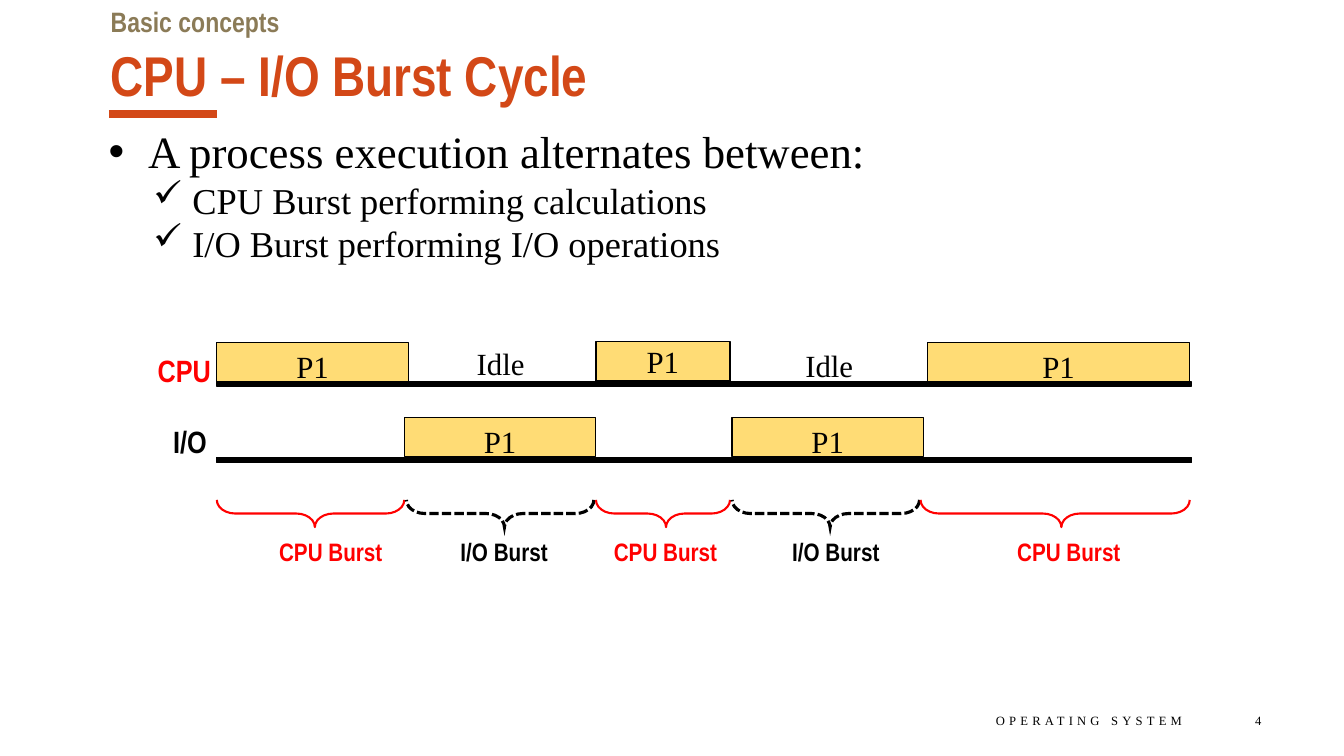
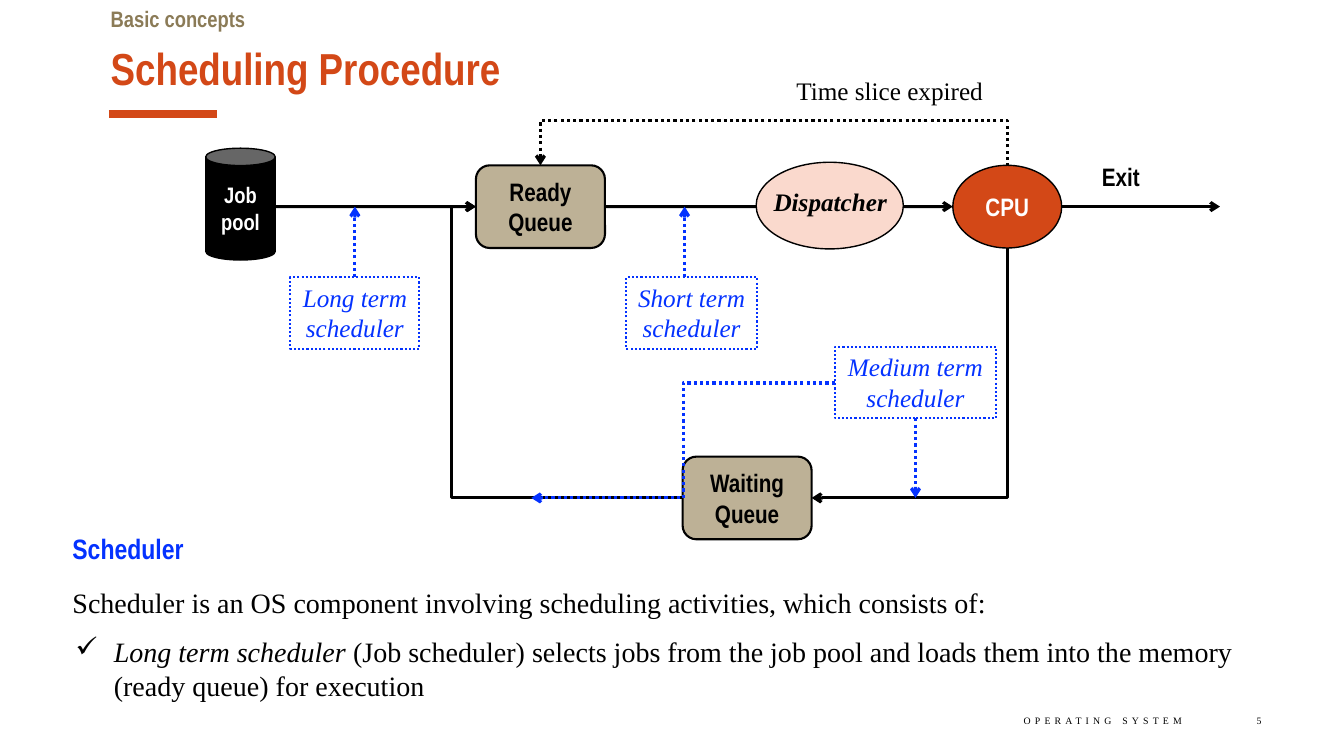
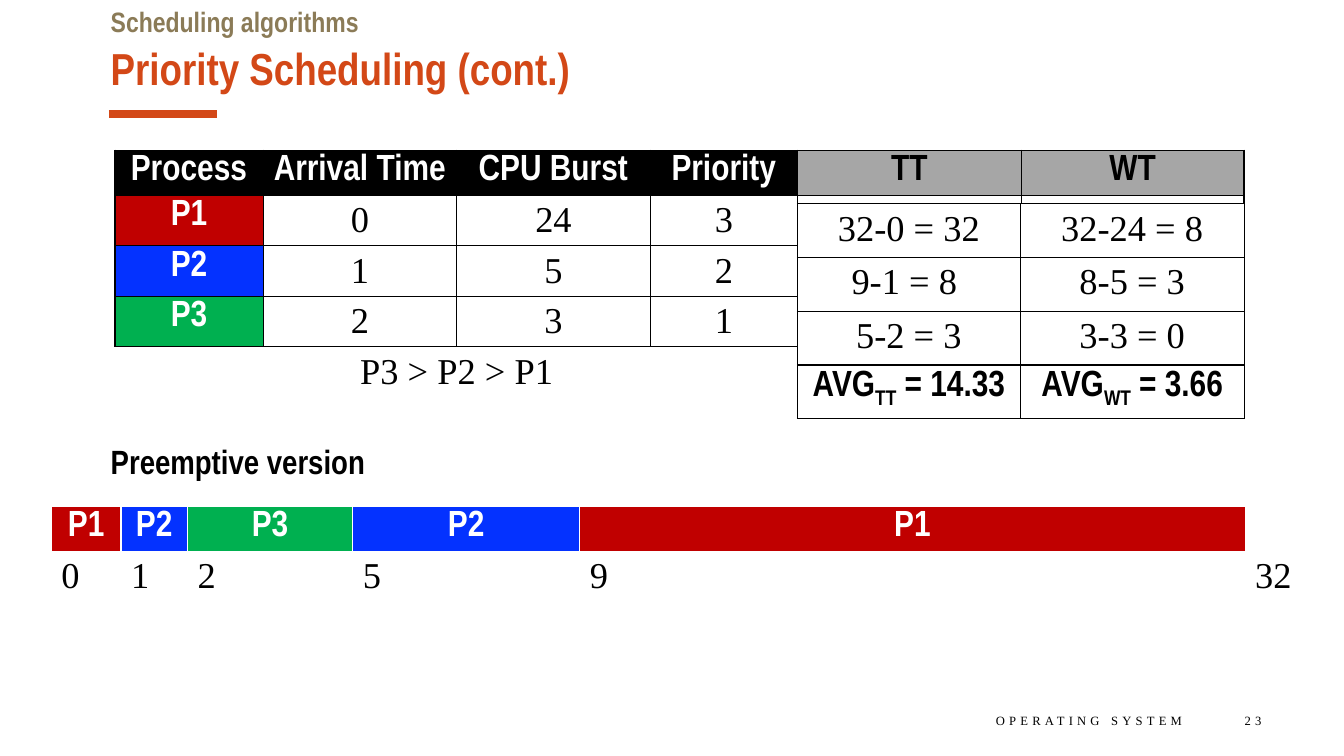
from itertools import accumulate

from pptx import Presentation
from pptx.dml.color import RGBColor
from pptx.enum.dml import MSO_LINE_DASH_STYLE as Dash
from pptx.enum.shapes import MSO_CONNECTOR as Link, MSO_SHAPE as Shape
from pptx.enum.text import MSO_ANCHOR as Anchor, PP_ALIGN as Align
from pptx.oxml.ns import qn
from pptx.oxml.xmlchemy import OxmlElement
from pptx.util import Inches, Pt

NARROW, SERIF = "Arial Narrow", "Times New Roman"
BLACK, WHITE, RED, BLUE = "000000", "FFFFFF", "FF0000", "0432FF"
ORANGE, OLIVE, TAN, PINK, AMBER = "D34817", "8B7B57", "BDB196", "FAD9CD", "FFC000"
GREY = "A6A6A6"
PROCESS_COLOURS = {"P1": "C00000", "P2": BLUE, "P3": "00B050"}
TICK = ("Wingdings", "ü")
DOT = ("Arial", "•")


def colour(value):
    return RGBColor.from_string(value)


def inches(*values):
    return [Inches(value) for value in values]


def add_element(parent, tag, **attributes):
    child = OxmlElement(tag)
    for name, value in attributes.items():
        child.set(name, str(value))
    parent.append(child)
    return child


def style_span(span, size, font=SERIF, ink=BLACK, bold=False, italic=False):
    span.font.size = Pt(size)
    span.font.name = font
    span.font.bold = bold
    span.font.italic = italic
    span.font.color.rgb = colour(ink)


def write(frame, text, size, font=SERIF, ink=BLACK, bold=False, italic=False,
          align=Align.LEFT, anchor=Anchor.TOP, spacing=1.0):
    frame.word_wrap = True
    frame.vertical_anchor = anchor
    frame.text = text
    for para in frame.paragraphs:
        para.alignment = align
        para.line_spacing = spacing
        for span in para.runs:
            style_span(span, size, font, ink, bold, italic)


def add_text(page, area, text, size, **style):
    box = page.shapes.add_textbox(*inches(*area))
    write(box.text_frame, text, size, **style)
    return box


def add_heading(page, area, text, size, ink=BLACK, **style):
    return add_text(page, area, text, size, font=NARROW, ink=ink, bold=True, **style)


def add_figure(page, kind, area, fill=None, line=BLACK, width=1, dash=None):
    figure = page.shapes.add_shape(kind, *inches(*area))
    figure.shadow.inherit = False
    if fill:
        figure.fill.solid()
        figure.fill.fore_color.rgb = colour(fill)
    else:
        figure.fill.background()
    figure.line.color.rgb = colour(line)
    figure.line.width = Pt(width)
    if dash:
        figure.line.dash_style = dash
    return figure


def add_line(page, start, end, ink=BLACK, width=2.25, dash=None, arrow=True, kind=Link.STRAIGHT):
    line = page.shapes.add_connector(kind, *inches(*start, *end))
    line.line.color.rgb = colour(ink)
    line.line.width = Pt(width)
    if dash:
        line.line.dash_style = dash
    properties = line._element.spPr
    if arrow:
        add_element(properties.find(qn("a:ln")), "a:tailEnd", type="arrow")
    add_element(properties, "a:effectLst")
    return line


def add_elbow(page, start, end, joins, preset="bentConnector3", bend=None, turn=0,
              flip=False, **style):
    if turn:
        (x1, y1), (x2, y2) = start, end
        middle, centre = (x1 + x2) / 2, (y1 + y2) / 2
        across, down = abs(y2 - y1) / 2, abs(x2 - x1) / 2
        start, end = (middle - across, centre - down), (middle + across, centre + down)
    elbow = add_line(page, start, end, kind=Link.ELBOW, **style)
    properties = elbow._element.spPr
    frame, outline = properties.find(qn("a:xfrm")), properties.find(qn("a:prstGeom"))
    if turn:
        frame.set("rot", str(turn * 60000))
    if flip:
        frame.set("flipV", "1")
    outline.set("prst", preset)
    if bend:
        guides = outline.find(qn("a:avLst"))
        add_element(guides, "a:gd", name="adj1", fmla=f"val {round(bend * 100000)}")
    for tag, (figure, site) in zip(("a:stCxn", "a:endCxn"), joins):
        add_element(elbow._element.nvCxnSpPr.cNvCxnSpPr, tag, id=figure.shape_id, idx=site)


def add_bullet(para, mark, left, hang):
    properties = para._p.get_or_add_pPr()
    properties.set("marL", str(Inches(left)))
    properties.set("indent", str(-Inches(hang)))
    font, symbol = mark
    add_element(properties, "a:buFont", typeface=font)
    add_element(properties, "a:buChar", char=symbol)


def add_page(deck, topic, title, number, title_size=32, topic_size=20, footer_size=9):
    page = deck.slides.add_slide(deck.slide_layouts[6])
    add_line(page, (1.08, 1.13), (2.15, 1.13), ORANGE, 6, arrow=False)
    add_heading(page, (1, 0.35, 11.33, 0.61), title, title_size, ORANGE)
    add_heading(page, (1, 0, 11.33, 0.4), topic, topic_size, OLIVE)
    for left, width, text in ((7.4, 4.42, "OPERATING SYSTEM"), (11.82, 0.79, number)):
        box = add_text(page, (left, 6.95, width, 0.4), text, footer_size,
                       align=Align.RIGHT, anchor=Anchor.MIDDLE)
        box.text_frame.paragraphs[0].runs[0]._r.get_or_add_rPr().set("spc", "300")
    return page


def burst_points(page, area):
    box = add_text(page, area, "A process execution alternates between:\n"
                   "CPU Burst performing calculations\n"
                   "I/O Burst performing I/O operations", 26)
    first, *others = box.text_frame.paragraphs
    first.runs[0].font.size = Pt(32)
    add_bullet(first, DOT, 0.62, 0.39)
    for para in others:
        para.level = 1
        add_bullet(para, TICK, 1.06, 0.39)


def busy_bar(page, left, top, width, anchor=Anchor.TOP):
    bar = add_figure(page, Shape.RECTANGLE, (left, top, width, 0.39), AMBER)
    solid = bar._element.spPr.find(qn("a:solidFill"))
    add_element(solid[0], "a:alpha", val=54000)
    write(bar.text_frame, "P1", 22, align=Align.CENTER, anchor=anchor)


def burst_brace(page, left, top, width, ink, weight, dash):
    depth = 0.27
    brace = add_figure(page, Shape.RIGHT_BRACE,
                       (left + (width - depth) / 2, top + (depth - width) / 2, depth, width),
                       line=ink, width=weight, dash=dash)
    brace.rotation = 90
    brace.adjustments[0] = 0.678
    brace.adjustments[1] = 0.477
    if dash:
        add_element(brace._element.spPr.find(qn("a:ln")), "a:miter", lim=800000)


def burst_timeline(page, left, top):
    busy_bar(page, left, top, 1.9)
    busy_bar(page, left + 3.76, top - 0.01, 1.33, Anchor.MIDDLE)
    busy_bar(page, left + 7.05, top, 2.6)
    for offset in (1.86, 5.11):
        busy_bar(page, left + offset, top + 0.74, 1.9)
    for offset, drop in ((0.39, 0.04), (1.14, 0.05)):
        add_figure(page, Shape.RECTANGLE, (left, top + offset, 9.67, drop), BLACK)
    for offset, rise in ((2.15, 0.03), (5.41, 0.01)):
        add_text(page, (left + offset, top - rise, 1.33, 0.39), "Idle", 22, align=Align.CENTER)
    add_heading(page, (left - 0.98, top + 0.04, 1.02, 0.47), "CPU", 22, RED, align=Align.RIGHT)
    add_heading(page, (left - 0.75, top + 0.74, 0.75, 0.47), "I/O", 22, align=Align.RIGHT)
    cpu = ("CPU Burst", RED, 1.5, None, Align.LEFT)
    device = ("I/O Burst", BLACK, 2.25, Dash.SQUARE_DOT, Align.CENTER)
    bursts = ((cpu, 0, 1.86, 0.52), (device, 1.88, 1.86, 2.18), (cpu, 3.76, 1.33, 3.84),
              (device, 5.11, 1.86, 5.47), (cpu, 6.98, 2.67, 7.84))
    for (name, ink, weight, dash, align), start, width, label in bursts:
        burst_brace(page, left + start, top + 1.56, width, ink, weight, dash)
        add_heading(page, (left + label, top + 1.87, 1.34, 0.51), name, 18, ink, align=align)


def scheduling_diagram(page, left, top):
    def at(x, y, *size):
        return (left + x, top + y, *size)

    def node(kind, area, text, fill, ink=BLACK, size=18, width=1):
        figure = add_figure(page, kind, at(*area), fill, width=width)
        write(figure.text_frame, text, size, NARROW, ink, True,
              align=Align.CENTER, anchor=Anchor.MIDDLE)
        return figure

    def scheduler(area, text):
        figure = add_figure(page, Shape.RECTANGLE, at(*area), None, BLUE, 1.5, Dash.ROUND_DOT)
        write(figure.text_frame, text, 18, ink=BLUE, italic=True, align=Align.CENTER)
        return figure

    def arrow(start, end, **style):
        return add_line(page, at(*start), at(*end), **style)

    def elbow(start, end, *joins, **style):
        add_elbow(page, at(*start), at(*end), joins, **style)

    flow, wait = 1.35, 4.24
    dotted = {"dash": Dash.ROUND_DOT}
    blue_dots = {"ink": BLUE, **dotted}
    ready = node(Shape.ROUNDED_RECTANGLE, (2.72, 0.94, 1.28, 0.82), "Ready Queue", TAN, width=1.5)
    waiting = node(Shape.ROUNDED_RECTANGLE, (4.77, 3.83, 1.28, 0.82), "Waiting Queue", TAN,
                   width=1.5)
    cpu = node(Shape.OVAL, (7.45, 0.94, 1.08, 0.82), "CPU", ORANGE, WHITE)
    long_term = scheduler((0.88, 2.05, 1.28, 0.71), "Long term scheduler")
    medium_term = scheduler((6.28, 2.74, 1.6, 0.71), "Medium term scheduler")
    scheduler((4.21, 2.05, 1.3, 0.71), "Short term scheduler")

    arrow((4, flow), (7.45, flow)).begin_connect(ready, 3)
    arrow((8.53, flow), (10.1, flow))
    arrow((0.19, flow), (2.72, flow)).end_connect(ready, 1)
    elbow((7.99, 1.76), (6.05, wait), (cpu, 4), (waiting, 3), preset="bentConnector2", turn=90)
    elbow((4.77, wait), (2.72, flow), (waiting, 1), (ready, 1), bend=1.12)
    elbow((7.99, 0.95), (3.36, 0.94), (cpu, 0), (ready, 0), bend=46, turn=270, flip=True,
          **dotted)
    arrow((1.52, 2.05), (1.52, flow), **blue_dots).begin_connect(long_term, 0)
    arrow((4.79, 2.05), (4.79, flow), **blue_dots)
    arrow((7.08, 3.45), (7.08, wait), **blue_dots).begin_connect(medium_term, 2)
    elbow((6.28, 3.1), (3.27, wait), (medium_term, 1), bend=0.5, **blue_dots)

    node(Shape.CAN, (0.04, 0.77, 0.69, 1.11), "Job pool", BLACK, WHITE, 16)
    add_figure(page, Shape.OVAL, at(5.5, 0.91, 1.46, 0.86), PINK)
    add_text(page, at(5.42, 1.1, 1.63, 0.4), "Dispatcher", 18, bold=True, italic=True,
             align=Align.CENTER)
    add_heading(page, at(8.83, 0.85, 0.96, 0.4), "Exit", 18)
    add_text(page, at(5.8, 0, 2.45, 0.4), "Time slice expired", 18)


def scheduler_notes(page, left, top):
    add_heading(page, (left, top, 3.71, 0.44), "Scheduler", 20, BLUE)
    add_text(page, (left, top + 0.54, 12.29, 0.44),
             "Scheduler is an OS component involving scheduling activities, which consists of:", 20)
    box = add_text(page, (left + 0.03, top + 1.03, 12.29, 0.77), "Long term scheduler ", 20,
                   italic=True)
    para = box.text_frame.paragraphs[0]
    add_bullet(para, TICK, 0.38, 0.38)
    span = para.add_run()
    span.text = ("(Job scheduler) selects jobs from the job pool and loads them into the memory "
                 "(ready queue) for execution")
    style_span(span, 20)


def style_cell(cell, fill=None, borders="", line=BLACK):
    if fill:
        cell.fill.solid()
        cell.fill.fore_color.rgb = colour(fill)
    else:
        cell.fill.background()
    properties = cell._tc.get_or_add_tcPr()
    for index, side in enumerate("LRTB"):
        border = OxmlElement(f"a:ln{side}")
        border.set("w", str(Pt(1)))
        if side in borders:
            solid = add_element(border, "a:solidFill")
            add_element(solid, "a:srgbClr", val=line)
        else:
            add_element(border, "a:noFill")
        properties.insert(index, border)


def write_cell(cell, text, ink=BLACK, strong=False, align=Align.CENTER, below=0, tight=0.92):
    if align == Align.CENTER:
        cell.margin_left = cell.margin_right = Inches(0.05)
    cell.margin_bottom = Inches(below)
    write(cell.text_frame, text, 26, NARROW if strong else SERIF, ink, strong,
          align=align, spacing=tight if strong else 1.0)


def add_grid(page, left, top, widths, heights):
    frame = page.shapes.add_table(len(heights), len(widths),
                                  *inches(left, top, sum(widths), sum(heights)))
    grid = frame.table
    grid.first_row = grid.horz_banding = False
    for column, width in zip(grid.columns, widths):
        column.width = Inches(width)
    for row, height in zip(grid.rows, heights):
        row.height = Inches(height)
    return grid


def process_table(page, left, top):
    grid = add_grid(page, left, top, (1.47, 1.92, 1.92, 1.46, 2.22, 2.21), (0.44, *[0.5] * 4))
    headers = ("Process", "Arrival Time", "CPU Burst", "Priority", "TT", "WT")
    processes = (("P1", 0, 24, 3), ("P2", 1, 5, 2), ("P3", 2, 3, 1))
    for column, header in enumerate(headers):
        result = column > 3
        style_cell(grid.cell(0, column), GREY if result else BLACK, "LRTB")
        write_cell(grid.cell(0, column), header, BLACK if result else WHITE, True)
        borders = "LRTB" if result else "TR" if column == 3 else "T"
        style_cell(grid.cell(4, column), None, borders)
    for row, values in enumerate(processes, 1):
        for column in range(len(headers)):
            cell = grid.cell(row, column)
            style_cell(cell, None if column else PROCESS_COLOURS[values[0]], "LRTB")
            if column < len(values):
                write_cell(cell, str(values[column]), BLACK if column else WHITE, column == 0)
    grid.cell(4, 1).merge(grid.cell(4, 2))
    write_cell(grid.cell(4, 1), "P3 > P2 > P1")


def result_table(page, left, top):
    grid = add_grid(page, left, top, (2.21, 2.22), [0.53] * 4)
    results = (("32-0 = 32", "32-24 = 8"), ("9-1 = 8 ", "8-5 = 3"), ("5-2 = 3", "3-3 = 0"))
    averages = (("TT", " = 14.33"), ("WT", " = 3.66"))
    for row, texts in enumerate(results):
        for column, text in enumerate(texts):
            style_cell(grid.cell(row, column), WHITE, "LRTB")
            write_cell(grid.cell(row, column), text, below=0.05)
    for column, (measure, value) in enumerate(averages):
        cell = grid.cell(3, column)
        style_cell(cell, WHITE, "LRTB")
        write_cell(cell, "AVG", strong=True, below=0.05, tight=0.85)
        for text in (measure, value):
            span = cell.text_frame.paragraphs[0].add_run()
            span.text = text
            style_span(span, 26, NARROW, bold=True)
            if text == measure:
                span._r.get_or_add_rPr().set("baseline", "-25000")


def gantt_table(page, left, top):
    grid = add_grid(page, left, top, (0.69, 0.66, 1.64, 2.25, 6.6, 0.64), (0.44, 0.5))
    slots = (("P1", 1), ("P2", 1), ("P3", 3), ("P2", 4), ("P1", 23))
    times = accumulate((length for _, length in slots), initial=0)
    for column, time in enumerate(times):
        style_cell(grid.cell(1, column))
        write_cell(grid.cell(1, column), str(time), align=Align.LEFT)
    for column, (process, _) in enumerate(slots):
        style_cell(grid.cell(0, column), PROCESS_COLOURS[process], "LRT", WHITE)
        write_cell(grid.cell(0, column), process, WHITE, True)
    style_cell(grid.cell(0, len(slots)))


def main():
    deck = Presentation()
    deck.slide_width, deck.slide_height = inches(13.33, 7.5)

    page = add_page(deck, "Basic concepts", "CPU – I/O Burst Cycle", "4", title_size=40)
    burst_points(page, (0.75, 1.18, 12.34, 5.33))
    burst_timeline(page, 2.15, 3.4)

    page = add_page(deck, "Basic concepts", "Scheduling Procedure", "5",
                    topic_size=16, footer_size=7)
    scheduling_diagram(page, 2, 0.7)
    scheduler_notes(page, 0.62, 5.22)

    page = add_page(deck, "Scheduling algorithms", "Priority Scheduling (cont.)", "23")
    gantt_table(page, 0.51, 5.02)
    process_table(page, 1.14, 1.49)
    result_table(page, 7.91, 2.02)
    add_heading(page, (1, 4.33, 4.26, 0.5), "Preemptive version", 24)

    deck.save("out.pptx")


if __name__ == "__main__":
    main()
